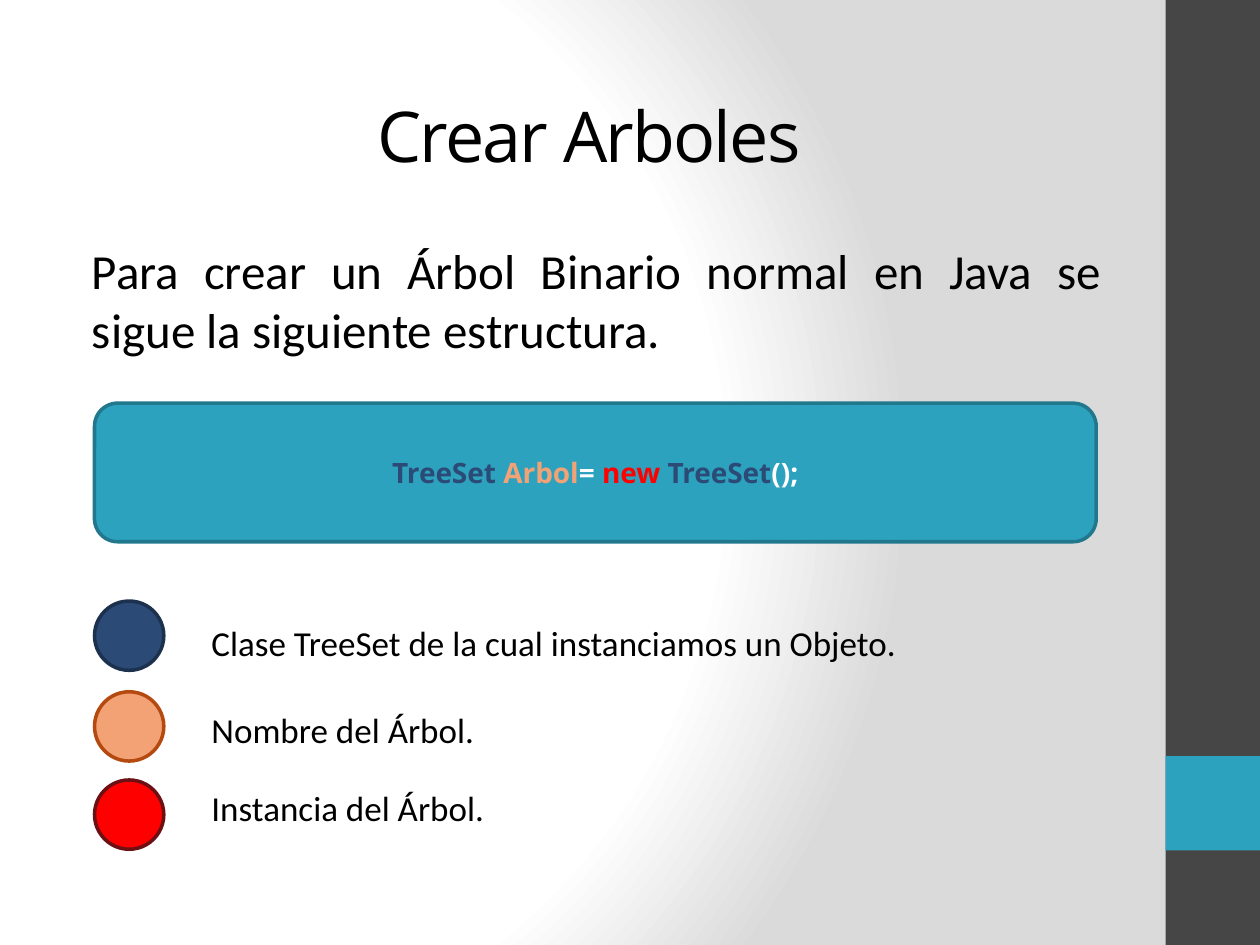
from pptx import Presentation
from pptx.dml.color import RGBColor
from pptx.enum.shapes import MSO_SHAPE
from pptx.enum.text import MSO_ANCHOR, MSO_AUTO_SIZE, PP_ALIGN
from pptx.oxml import parse_xml
from pptx.oxml.ns import nsdecls, qn
from pptx.util import Inches, Pt

NAVY, PEACH, RED, TEAL, WHITE = "2B4A76", "F3A276", "FF0000", "2DA2BF", "FFFFFF"


def rgb(value):
    return RGBColor.from_string(value)


class SlideBuilder:
    """Holds the style and the current slide."""

    heading_font = "Open Sans"
    body_font = "Calibri"
    text_color = "000000"

    def __init__(self, prs):
        self.s = prs.slides.add_slide(prs.slide_layouts[1])

    def place(self, sp, left, top, width, height):
        sp.left, sp.top = Inches(left), Inches(top)
        sp.width, sp.height = Inches(width), Inches(height)

    def style(self, p, size, font, align, color=None):
        p.alignment = align
        p.font.size, p.font.name = Pt(size), font
        if color:
            p.font.color.rgb = rgb(color)

    def background(self, stops):
        self.s.background.fill.solid()
        solid = self.s._element.find(".//" + qn("p:bgPr")).find(qn("a:solidFill"))
        gs = "".join(
            f'<a:gs pos="{pos * 1000}"><a:srgbClr val="{color}"/></a:gs>'
            for pos, color in stops
        )
        grad = parse_xml(
            f'<a:gradFill {nsdecls("a")} rotWithShape="1"><a:gsLst>{gs}</a:gsLst>'
            '<a:path path="circle"><a:fillToRect l="20000" t="50000" '
            'r="100000" b="50000"/></a:path></a:gradFill>'
        )
        solid.getparent().replace(solid, grad)

    def title(self, text, *box):
        sp = self.s.shapes.title
        self.place(sp, *box)
        tf = sp.text_frame
        tf.auto_size = MSO_AUTO_SIZE.NONE
        tf.vertical_anchor = MSO_ANCHOR.MIDDLE
        p = tf.paragraphs[0]
        r = p.add_run()
        r.text = text
        r._r.get_or_add_rPr().set("spc", "-100")
        self.style(p, 40, self.heading_font, PP_ALIGN.CENTER, self.text_color)

    def paragraph(self, sp, text, size):
        tf = sp.text_frame
        tf.word_wrap = True
        tf.auto_size = MSO_AUTO_SIZE.NONE
        p = tf.paragraphs[0]
        p.text = text
        p.space_before = Pt(size * 0.2)
        self.style(p, size, self.body_font, PP_ALIGN.JUSTIFY, self.text_color)
        pPr = p._p.get_or_add_pPr()
        pPr.set("marL", str(Inches(0.12)))
        pPr.set("indent", "0")
        pPr.find(qn("a:spcBef")).addnext(parse_xml(f'<a:buNone {nsdecls("a")}/>'))

    def body(self, text, *box):
        sp = self.s.placeholders[1]
        self.place(sp, *box)
        self.paragraph(sp, text, 28)

    def label(self, text, *box):
        sp = self.s.shapes.add_textbox(*map(Inches, box))
        self.paragraph(sp, text, 20)

    def shape(self, kind, fill, *box, line=None):
        sp = self.s.shapes.add_shape(kind, *map(Inches, box))
        sp.shadow.inherit = False
        sp.fill.solid()
        sp.fill.fore_color.rgb = rgb(fill)
        if line:
            sp.line.color.rgb = rgb(line)
            sp.line.width = Pt(2)
        else:
            sp.line.fill.background()
        return sp

    def code_box(self, parts, *box):
        sp = self.shape(MSO_SHAPE.ROUNDED_RECTANGLE, TEAL, *box, line="21788D")
        tf = sp.text_frame
        tf.word_wrap = True
        tf.vertical_anchor = MSO_ANCHOR.MIDDLE
        p = tf.paragraphs[0]
        self.style(p, 16, self.heading_font, PP_ALIGN.CENTER)
        p.font.bold = True
        for text, color in parts:
            r = p.add_run()
            r.text = text
            r.font.color.rgb = rgb(color)


def main():
    prs = Presentation()
    prs.slide_width, prs.slide_height = Inches(10), Inches(7.5)
    b = SlideBuilder(prs)
    b.background([(0, WHITE), (75, WHITE), (100, "DADADA")])
    b.shape(MSO_SHAPE.RECTANGLE, "464646", 9.25, 0, 0.75, 7.5)
    b.shape(MSO_SHAPE.RECTANGLE, TEAL, 9.25, 6, 0.75, 0.75)
    b.title("Crear Arboles", 0.51, 0.44, 8.33, 1.25)
    b.body(
        "Para crear un Árbol Binario normal en Java se sigue la siguiente estructura.",
        0.51, 1.86, 8.33, 0.98,
    )
    code = [
        ("TreeSet ", NAVY), ("Arbol", PEACH), ("= ", WHITE),
        ("new ", RED), ("TreeSet", NAVY), ("();", WHITE),
    ]
    b.code_box(code, 0.75, 3.2, 7.95, 1.1)
    legend = [
        (NAVY, "1C314E", 4.77, 4.88, "Clase TreeSet de la cual instanciamos un Objeto."),
        (PEACH, "B54A10", 5.49, 5.57, "Nombre del Árbol."),
        (RED, "6D1014", 6.19, 6.19, "Instancia del Árbol."),
    ]
    for fill, line, dot_top, text_top, text in legend:
        b.shape(MSO_SHAPE.OVAL, fill, 0.75, dot_top, 0.55, 0.55, line=line)
        b.label(text, 1.46, text_top, 7.24, 0.49)
    prs.save("out.pptx")


if __name__ == "__main__":
    main()
